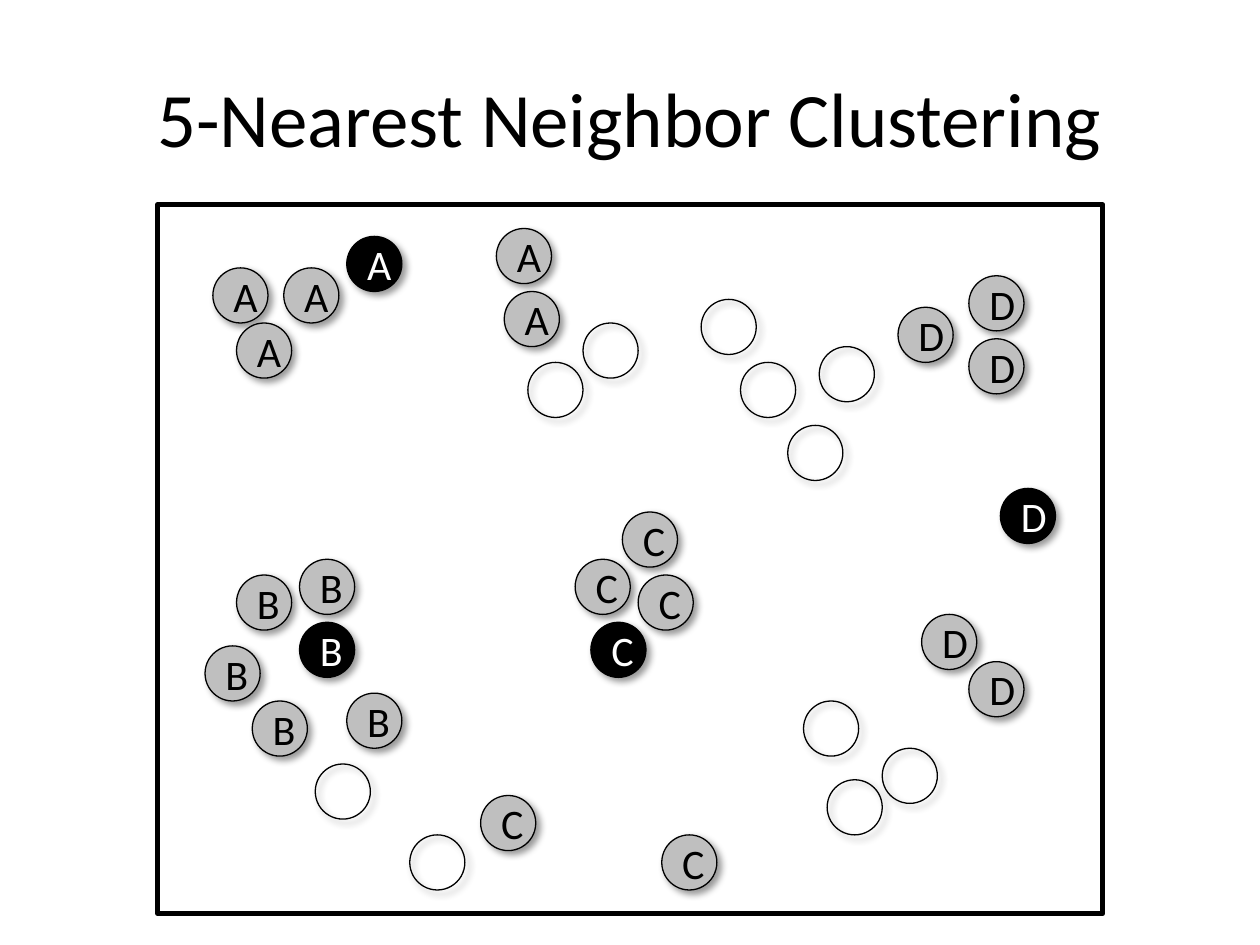
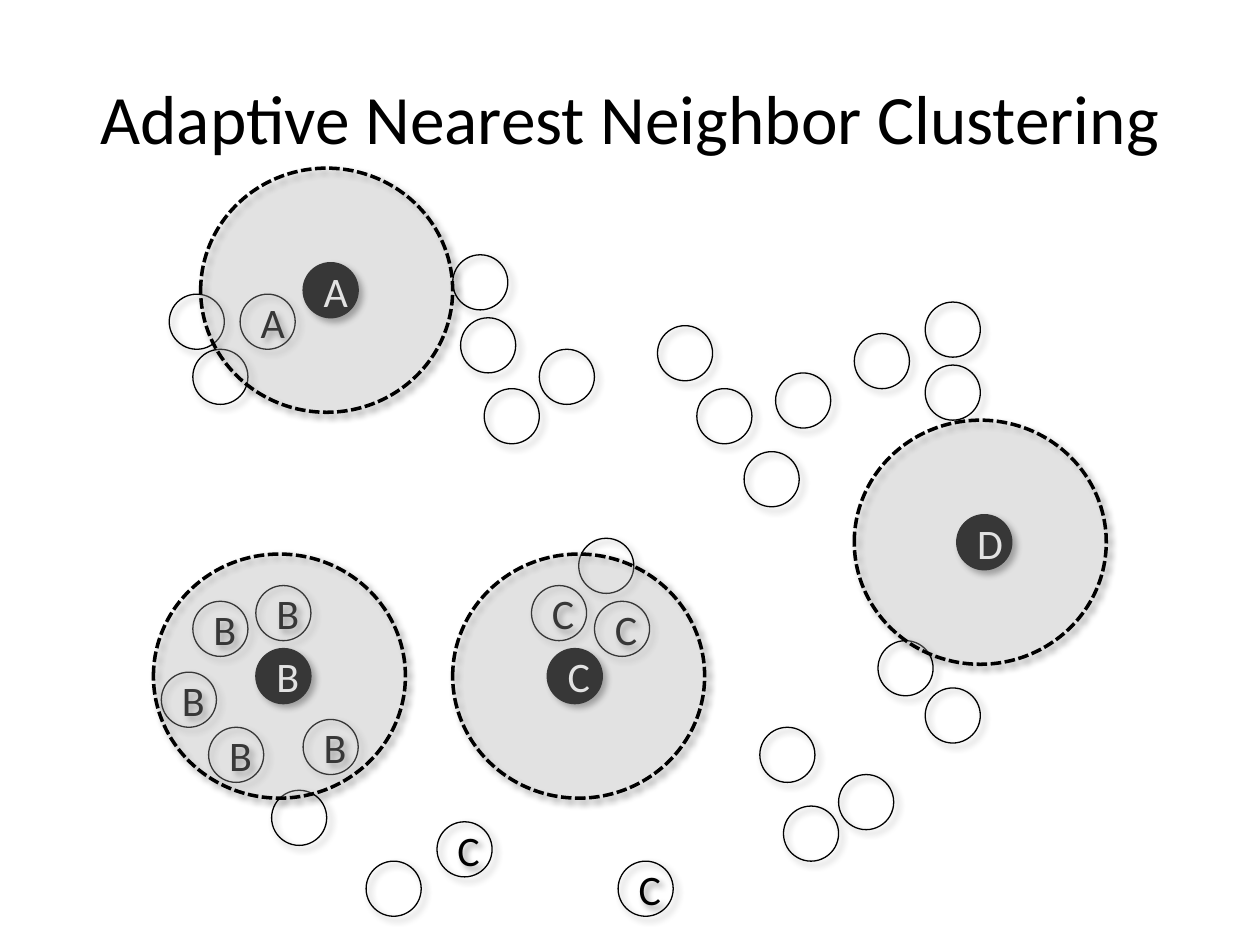
from dataclasses import dataclass

from lxml import etree
from pptx import Presentation
from pptx import util as u
from pptx.dml.color import RGBColor
from pptx.enum import dml, shapes, text
from pptx.oxml import ns


@dataclass(frozen=True)
class Theme:
    font: str = "Calibri"
    ink: str = "000000"
    paper: str = "FFFFFF"
    member: str = "BFBFBF"
    halo: str = "DDDDDD"
    halo_opacity: int = 25
    title_size: float = 44
    long_title_size: float = 39.6
    label_size: float = 24
    dot_line: float = 0.75
    halo_line: float = 2
    frame_line: float = 3


@dataclass(frozen=True)
class Cluster:
    """Points in grid steps; only kept ones stay labelled when the radius adapts."""
    label: str
    seed: tuple
    kept: tuple
    dropped: tuple
    halo_left: int = 13


THEME = Theme()
STEP = u.Cm(2.54) // 16
DOT = (7, 7)
HALO = (32, 31)
HALO_ABOVE = 12
MAP_SIZE = (120, 90)
TITLE_BOX = [u.Cm(v) for v in (1.27, 0.76, 22.86, 3.18)]

CLUSTERS = (
    Cluster("A", (24, 4), ((16, 8),), ((7, 8), (10, 15), (44, 11), (43, 3))),
    Cluster("B", (18, 53), ((12, 63), (18, 45), (24, 62), (10, 47), (6, 56)), ()),
    Cluster("C", (55, 53), ((61, 47), (53, 45), (41, 75), (64, 80)), ((59, 39),), 12),
    Cluster("D", (107, 36), (), ((94, 13), (103, 58), (103, 9), (97, 52), (103, 17))),
)
UNASSIGNED = (
    (85, 73), (69, 12), (92, 69), (80, 28), (32, 80), (82, 63),
    (74, 20), (20, 71), (47, 20), (84, 18), (54, 15),
)


def rgb(value):
    return RGBColor.from_string(value)


def style_font(font, size, color):
    for name, value in {"name": THEME.font, "size": u.Pt(size)}.items():
        setattr(font, name, value)
    font.color.rgb = rgb(color)


def add_shadow(shape):
    effects = shape._element.spPr.find(ns.qn("a:effectLst"))
    settings = {"blurRad": u.Pt(4), "dist": u.Pt(3), "dir": 45 * 60000,
                "algn": "tl", "rotWithShape": 0}
    outer = etree.SubElement(effects, ns.qn("a:outerShdw"),
                             {key: str(value) for key, value in settings.items()})
    black = etree.SubElement(outer, ns.qn("a:srgbClr"), val=THEME.ink)
    etree.SubElement(black, ns.qn("a:alpha"), val="40000")


def add_outline(slide, kind, origin, place, size, width, fill=None, shadow=True):
    """Add a shape whose place and size are grid steps from the map's origin."""
    left, top = (start + step * STEP for start, step in zip(origin, place))
    shape = slide.shapes.add_shape(kind, left, top, *(n * STEP for n in size))
    if fill:
        shape.fill.solid()
        shape.fill.fore_color.rgb = rgb(fill)
    else:
        shape.fill.background()
    shape.line.color.rgb = rgb(THEME.ink)
    shape.line.width = u.Pt(width)
    shape.shadow.inherit = False
    if shadow:
        add_shadow(shape)
    return shape


def add_dot(slide, origin, place, label="", fill=None, color=THEME.ink):
    dot = add_outline(slide, shapes.MSO_SHAPE.OVAL, origin, place, DOT,
                      THEME.dot_line, fill)
    if label:
        dot.text_frame.vertical_anchor = text.MSO_ANCHOR.MIDDLE
        letter = dot.text_frame.paragraphs[0]
        letter.alignment = text.PP_ALIGN.CENTER
        run = letter.add_run()
        run.text = label
        style_font(run.font, THEME.label_size, color)


def add_points(slide, origin, member_fill=None, label_dropped=True):
    for place in UNASSIGNED:
        add_dot(slide, origin, place)
    for cluster in CLUSTERS:
        for place in cluster.kept:
            add_dot(slide, origin, place, cluster.label, member_fill)
        for place in cluster.dropped:
            if label_dropped:
                add_dot(slide, origin, place, cluster.label, member_fill)
            else:
                add_dot(slide, origin, place)
        add_dot(slide, origin, cluster.seed, cluster.label, THEME.ink, THEME.paper)


def add_halo(slide, origin, cluster):
    seed_left, seed_top = cluster.seed
    place = (seed_left - cluster.halo_left, seed_top - HALO_ABOVE)
    halo = add_outline(slide, shapes.MSO_SHAPE.OVAL, origin, place, HALO,
                       THEME.halo_line, THEME.halo)
    halo.line.dash_style = dml.MSO_LINE.SQUARE_DOT
    tint = halo._element.spPr.find(ns.qn("a:solidFill")).find(ns.qn("a:srgbClr"))
    etree.SubElement(tint, ns.qn("a:alpha"), val=str(THEME.halo_opacity * 1000))


def add_titled_slide(prs, heading, size):
    slide = prs.slides.add_slide(prs.slide_layouts[5])
    title = slide.shapes.title
    for name, value in zip(("left", "top", "width", "height"), TITLE_BOX):
        setattr(title, name, value)
    title.text = heading
    frame = title.text_frame
    for name, value in {"word_wrap": True, "auto_size": text.MSO_AUTO_SIZE.NONE,
                        "vertical_anchor": text.MSO_ANCHOR.MIDDLE}.items():
        setattr(frame, name, value)
    frame.paragraphs[0].alignment = text.PP_ALIGN.CENTER
    style_font(frame.paragraphs[0].runs[0].font, size, THEME.ink)
    return slide


def add_five_nearest(prs, origin):
    slide = add_titled_slide(prs, "5-Nearest Neighbor Clustering", THEME.title_size)
    add_points(slide, origin, member_fill=THEME.member)
    add_outline(slide, shapes.MSO_SHAPE.RECTANGLE, origin, (0, 0), MAP_SIZE,
                THEME.frame_line, shadow=False)


def add_adaptive_nearest(prs, origin):
    slide = add_titled_slide(prs, "Adaptive Nearest Neighbor Clustering",
                             THEME.long_title_size)
    add_points(slide, origin, label_dropped=False)
    for cluster in CLUSTERS:
        add_halo(slide, origin, cluster)


def main():
    prs = Presentation()
    prs.slide_width, prs.slide_height = u.Cm(25.4), u.Cm(19.05)
    add_five_nearest(prs, (u.Cm(3.18), u.Cm(4.13)))
    add_adaptive_nearest(prs, (u.Cm(2.3), u.Cm(4.66)))
    prs.save("out.pptx")


if __name__ == "__main__":
    main()
